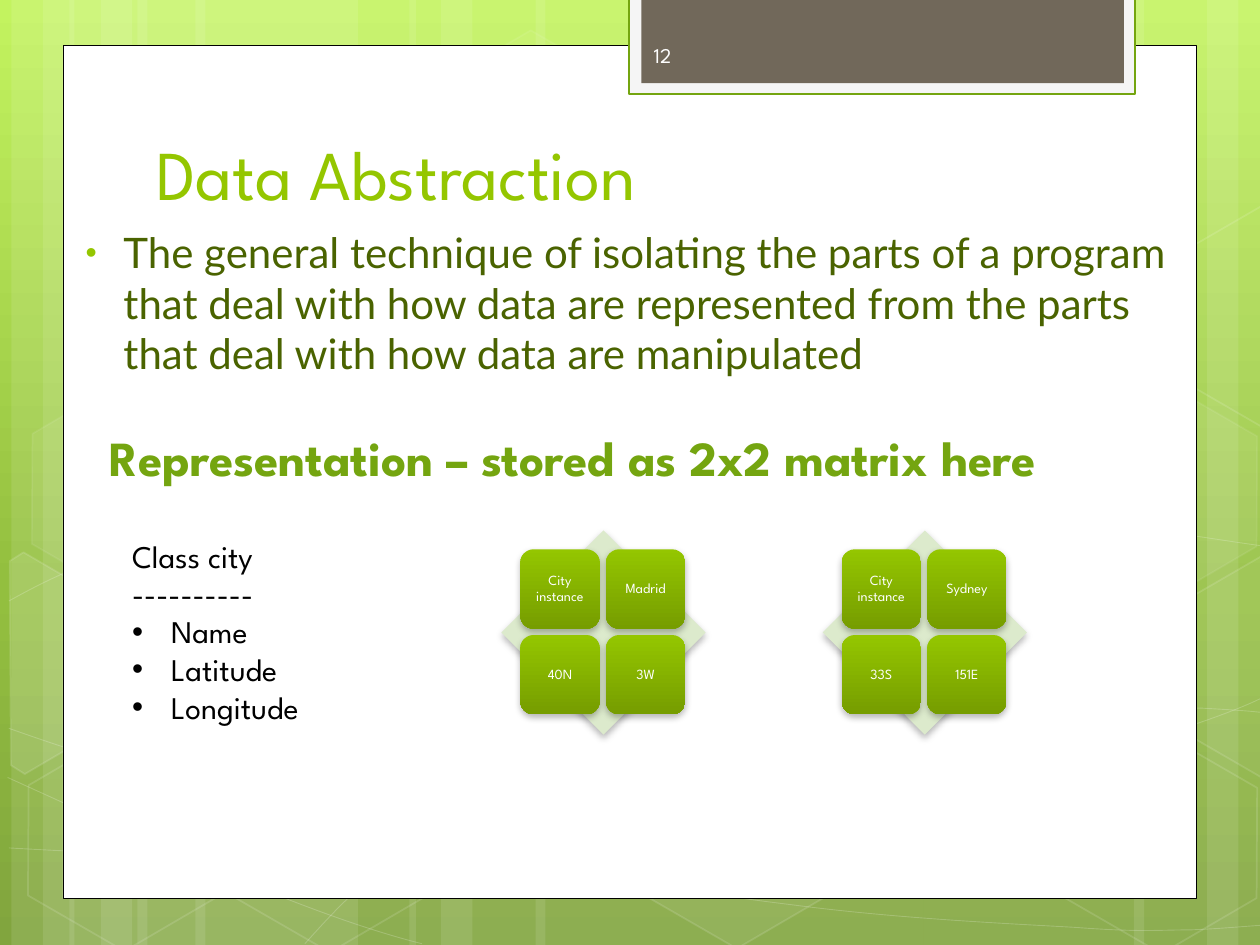
from dataclasses import dataclass
from itertools import product
from math import cos, radians, sin

from lxml.etree import SubElement
from pptx import Presentation
from pptx.dml.color import RGBColor
from pptx.enum.shapes import MSO_SHAPE as Preset
from pptx.enum.text import MSO_ANCHOR as Anchor, MSO_AUTO_SIZE as AutoSize, PP_ALIGN as Align
from pptx.oxml.ns import qn
from pptx.util import Inches, Pt


@dataclass(frozen=True)
class Theme:
    heading: str = "League Spartan"
    text: str = "Lato"
    white: str = "FFFFFF"
    black: str = "000000"
    lime: str = "94C600"
    deep_lime: str = "769D00"
    green: str = "74A510"
    olive: str = "4A6300"
    pale: str = "DCEACC"
    frame: str = "F5F5F5"
    taupe: str = "71685A"
    number: str = "FEFEFE"
    backdrop: tuple = ((0, "C3F35F"), (62, "93BF3F"), (100, "81A53E"))
    title_size: int = 40
    subtitle_size: int = 28
    body_size: int = 24
    list_size: int = 18
    number_size: int = 12
    tile_size: int = 8


@dataclass(frozen=True)
class Hexagon:
    left: float
    top: float
    fill_alpha: int
    line_alpha: int = 12


@dataclass(frozen=True)
class CutHexagon:
    center: tuple
    points: tuple
    fill_alpha: int


@dataclass(frozen=True)
class Matrix:
    left: float
    labels: tuple


THEME = Theme()
TILT = 30

# Left and width of the full-height translucent bands
BANDS = ((1.09, 1.75), (0.09, 0.5), (0.34, 0.83), (1.55, 1.75), (0.55, 0.5), (0.8, 0.83),
         (7.33, 1.75), (9.58, 0.5), (9, 0.83), (4.25, 3.08), (3.25, 0.5), (3.5, 0.83))

# Start point, then Bézier segments as control, control, end
CURVES = (
    ((0.07, 6.73), (0.61, 6.76), (1.15, 6.79), (1.9, 6.78), (2.65, 6.77), (3.58, 6.75), (4.58, 6.65),
     (5.58, 6.55), (7, 6.36), (7.92, 6.17), (8.83, 5.98), (9.77, 5.68), (10.07, 5.51)),
    ((0.07, 4.77), (0.36, 4.61), (0.65, 4.46), (1.21, 4.31), (1.78, 4.16), (2.59, 3.94), (3.47, 3.87),
     (4.36, 3.8), (5.44, 3.79), (6.54, 3.87), (7.64, 3.95), (9.47, 4.26), (10.07, 4.34)),
    ((0.06, 6.17), (1.27, 6.72), (2.47, 7.27), (3.35, 7.49)),
    ((0.07, 5.78), (0.38, 5.89), (0.7, 6), (1.28, 6.16), (1.86, 6.31), (2.73, 6.56), (3.57, 6.73),
     (4.4, 6.9), (5.45, 7.08), (6.28, 7.18), (7.11, 7.29), (8, 7.33), (8.53, 7.36),
     (9.06, 7.4), (9.19, 7.38), (9.45, 7.38), (9.71, 7.37), (9.89, 7.35), (10.07, 7.34)),
    ((2.42, 7.49), (2.6, 7.29), (2.78, 7.09), (3.02, 6.91), (3.26, 6.72), (3.6, 6.53), (3.88, 6.39),
     (4.16, 6.25), (4.33, 6.19), (4.69, 6.09), (5.06, 5.99), (5.73, 5.85), (6.08, 5.78),
     (6.44, 5.71), (6.49, 5.71), (6.8, 5.69), (7.11, 5.66), (7.6, 5.63), (7.94, 5.62),
     (8.29, 5.61), (8.86, 5.62), (8.86, 5.62), (9.08, 5.62), (9.31, 5.62), (9.53, 5.62),
     (9.71, 5.63), (9.88, 5.64), (9.97, 5.65), (10.06, 5.66), (10.03, 5.65), (10.06, 5.66)),
)

HEXAGONS = (Hexagon(3.34, 0.36, 4, 8), Hexagon(4.97, 5.89, 6), Hexagon(0.11, 5.91, 0),
            Hexagon(0.14, 3.12, 7, 8), Hexagon(1.74, 5.92, 0), Hexagon(7.53, 4.53, 10),
            Hexagon(8.34, 5.93, 0), Hexagon(8.34, 3.14, 7, 8))

# Hexagons cut off by the slide edges
CUT_HEXAGONS = (
    CutHexagon((0.36, 5.36), ((0.08, 4.45), (0.19, 4.38), (0.96, 4.83), (0.95, 5.7),
                              (0.2, 6.14), (0.09, 6.07)), 10),
    CutHexagon((9.85, 5.2), ((9.26, 4.85), (10.02, 4.41), (10.09, 4.46), (10.09, 6.13),
                             (10.02, 6.17), (9.26, 5.73)), 4),
    CutHexagon((9.85, 2.41), ((9.26, 2.07), (10.02, 1.63), (10.1, 1.68), (10.09, 3.35),
                              (10.02, 3.39), (9.26, 2.95)), 0),
)

MATRICES = (Matrix(3.98, ("City instance", "Madrid", "40N", "3W")),
            Matrix(6.53, ("City instance", "Sydney", "33S", "151E")))


def set_alpha(element, percent: int) -> None:
    for color in element.iter(qn("a:srgbClr")):
        SubElement(color, qn("a:alpha"), val=str(percent * 1000))


def paint(shape, fill: str | None, line: str | None = None, width: float = 1,
          fill_alpha: int = 100, line_alpha: int = 100) -> None:
    shape.shadow.inherit = False
    properties = shape.element.spPr
    if fill and fill_alpha:
        shape.fill.solid()
        shape.fill.fore_color.rgb = RGBColor.from_string(fill)
        if fill_alpha < 100:
            set_alpha(properties.find(qn("a:solidFill")), fill_alpha)
    else:
        shape.fill.background()
    if line:
        shape.line.color.rgb = RGBColor.from_string(line)
        shape.line.width = Pt(width)
        if line_alpha < 100:
            set_alpha(properties.find(qn("a:ln")), line_alpha)
    else:
        shape.line.fill.background()


def paint_gradient(fill, holder, stops: tuple) -> None:
    fill.gradient()
    fill.gradient_angle = 270
    stop_list = holder.find(".//" + qn("a:gsLst"))
    for old_stop in list(stop_list):
        stop_list.remove(old_stop)
    for position, color in stops:
        stop = SubElement(stop_list, qn("a:gs"), pos=str(position * 1000))
        SubElement(stop, qn("a:srgbClr"), val=color)


def add_soft_shadow(shape) -> None:
    effects = shape.element.spPr.find(qn("a:effectLst"))
    shadow = SubElement(effects, qn("a:outerShdw"), blurRad=str(Pt(4)), dist=str(Pt(2)),
                        dir="5400000", rotWithShape="0")
    SubElement(shadow, qn("a:srgbClr"), val=THEME.black)
    set_alpha(shadow, 28)


def add_preset(page, preset, left: float, top: float, width: float, height: float):
    return page.shapes.add_shape(preset, *map(Inches, (left, top, width, height)))


def add_outline(page, points, close: bool):
    corners = [(Inches(x), Inches(y)) for x, y in points]
    builder = page.shapes.build_freeform(*corners[0])
    builder.add_line_segments(corners[1:], close=close)
    return builder.convert_to_shape()


def add_curve(page, knots: tuple):
    curve = add_outline(page, knots, False)
    lines = list(curve.element.iter(qn("a:lnTo")))
    outline = lines[0].getparent()
    # Every three line ends become the points of one Bézier segment
    for first in range(0, len(lines), 3):
        segment = SubElement(outline, qn("a:cubicBezTo"))
        for line in lines[first:first + 3]:
            segment.append(line[0])
            outline.remove(line)
    return curve


def tilt_back(points: tuple, center: tuple) -> list:
    cosine, sine = cos(radians(TILT)), sin(radians(TILT))
    offsets = [(x - center[0], y - center[1]) for x, y in points]
    return [(center[0] + x * cosine + y * sine, center[1] - x * sine + y * cosine) for x, y in offsets]


def style_text(frame, size: int, color: str, font: str = THEME.heading, bold: bool = False,
               align=Align.LEFT) -> None:
    frame.word_wrap = True
    for para in frame.paragraphs:
        para.alignment = align
        for span in para.runs:
            span.font.size, span.font.name, span.font.bold = Pt(size), font, bold
            span.font.color.rgb = RGBColor.from_string(color)


def add_bullet(para, margin: float, hanging: float, color: str | None = None, size: int = 100) -> None:
    properties = para._p.get_or_add_pPr()
    properties.set("marL", str(Inches(margin)))
    properties.set("indent", str(-Inches(hanging)))
    if color:
        SubElement(SubElement(properties, qn("a:buClr")), qn("a:srgbClr"), val=color)
    SubElement(properties, qn("a:buSzPct"), val=str(size * 1000))
    SubElement(properties, qn("a:buFont"), typeface="Arial")
    SubElement(properties, qn("a:buChar"), char="•")


def place(shape, left: float, top: float, width: float, height: float) -> None:
    shape.left, shape.top, shape.width, shape.height = map(Inches, (left, top, width, height))


def add_text(page, text: str, left: float, top: float, width: float, height: float):
    box = page.shapes.add_textbox(*map(Inches, (left, top, width, height)))
    box.text_frame.text = text
    return box.text_frame


def draw_backdrop(page) -> None:
    paint_gradient(page.background.fill, page.element.cSld, THEME.backdrop)
    for left, width in BANDS:
        paint(add_preset(page, Preset.RECTANGLE, left, 0, width, 7.5), THEME.white, fill_alpha=10)
    for knots in CURVES:
        paint(add_curve(page, knots), None, THEME.white, 0.5, line_alpha=20)
    for item in HEXAGONS:
        hexagon = add_preset(page, Preset.HEXAGON, item.left, item.top, 1.75, 1.52)
        hexagon.rotation = TILT
        hexagon.adjustments[0] = 0.285
        paint(hexagon, THEME.white, THEME.white, 1, item.fill_alpha, item.line_alpha)
    for item in CUT_HEXAGONS:
        hexagon = add_outline(page, tilt_back(item.points, item.center), True)
        hexagon.rotation = TILT
        paint(hexagon, THEME.white, THEME.white, 1, item.fill_alpha, 12)
    # White sheet and the tab at its top
    paint(add_preset(page, Preset.RECTANGLE, 0.5, 0.36, 9, 6.77), THEME.white, THEME.black, 0.5)
    paint(add_preset(page, Preset.RECTANGLE, 4.99, -0.02, 4.02, 0.77), THEME.frame, THEME.green, 1.25)
    paint(add_preset(page, Preset.RECTANGLE, 5.09, -0.02, 3.83, 0.68), THEME.taupe)


def draw_matrix(page, matrix: Matrix, top: float = 4.21) -> None:
    diamond = add_preset(page, Preset.DIAMOND, matrix.left, top, 1.62, 1.62)
    paint(diamond, THEME.pale)
    add_soft_shadow(diamond)
    for (row, column), label in zip(product(range(2), repeat=2), matrix.labels):
        tile = add_preset(page, Preset.ROUNDED_RECTANGLE, matrix.left + 0.15 + 0.68 * column,
                          top + 0.15 + 0.68 * row, 0.63, 0.63)
        paint(tile, None)
        paint_gradient(tile.fill, tile.element.spPr, ((0, THEME.lime), (100, THEME.deep_lime)))
        add_soft_shadow(tile)
        frame = tile.text_frame
        frame.margin_left = frame.margin_right = frame.margin_top = frame.margin_bottom = Inches(0.03)
        frame.vertical_anchor = Anchor.MIDDLE
        frame.text = label
        frame.paragraphs[0].line_spacing = 0.9
        style_text(frame, THEME.tile_size, THEME.white, align=Align.CENTER)


def main() -> None:
    deck = Presentation()
    deck.slide_width, deck.slide_height = Inches(10), Inches(7.5)
    page = deck.slides.add_slide(deck.slide_layouts[1])
    title, body = page.placeholders
    draw_backdrop(page)

    # Title and definition, raised above the backdrop
    for placeholder in (title, body):
        page.shapes.element.append(placeholder.element)
        placeholder.text_frame.auto_size = AutoSize.NONE
    place(title, 1.14, 0.5, 7.68, 1.25)
    title.text_frame.text = "Data Abstraction"
    title.text_frame.vertical_anchor = Anchor.BOTTOM
    style_text(title.text_frame, THEME.title_size, THEME.lime)
    place(body, 0.5, 1.75, 9.09, 5.36)
    body.text_frame.text = ("The general technique of isolating the parts of a program that deal with how "
                            "data are represented from the parts that deal with how data are manipulated")
    style_text(body.text_frame, THEME.body_size, THEME.olive, THEME.text)
    add_bullet(body.text_frame.paragraphs[0], 0.38, 0.3, THEME.lime, 76)

    # Page number, subtitle and class outline
    number = add_text(page, "12", 5.09, 0.24, 1.46, 0.4)
    number.vertical_anchor = Anchor.MIDDLE
    style_text(number, THEME.number_size, THEME.number)
    subtitle = add_text(page, "Representation – stored as 2x2 matrix here", 0.77, 3.34, 8.25, 0.57)
    style_text(subtitle, THEME.subtitle_size, THEME.green, bold=True)
    outline = add_text(page, "Class city\n----------\nName\nLatitude\nLongitude", 0.95, 4.21, 2.55, 1.62)
    style_text(outline, THEME.list_size, THEME.black)
    for para in outline.paragraphs[2:]:
        add_bullet(para, 0.31, 0.31)

    for matrix in MATRICES:
        draw_matrix(page, matrix)
    deck.save("out.pptx")


if __name__ == "__main__":
    main()
